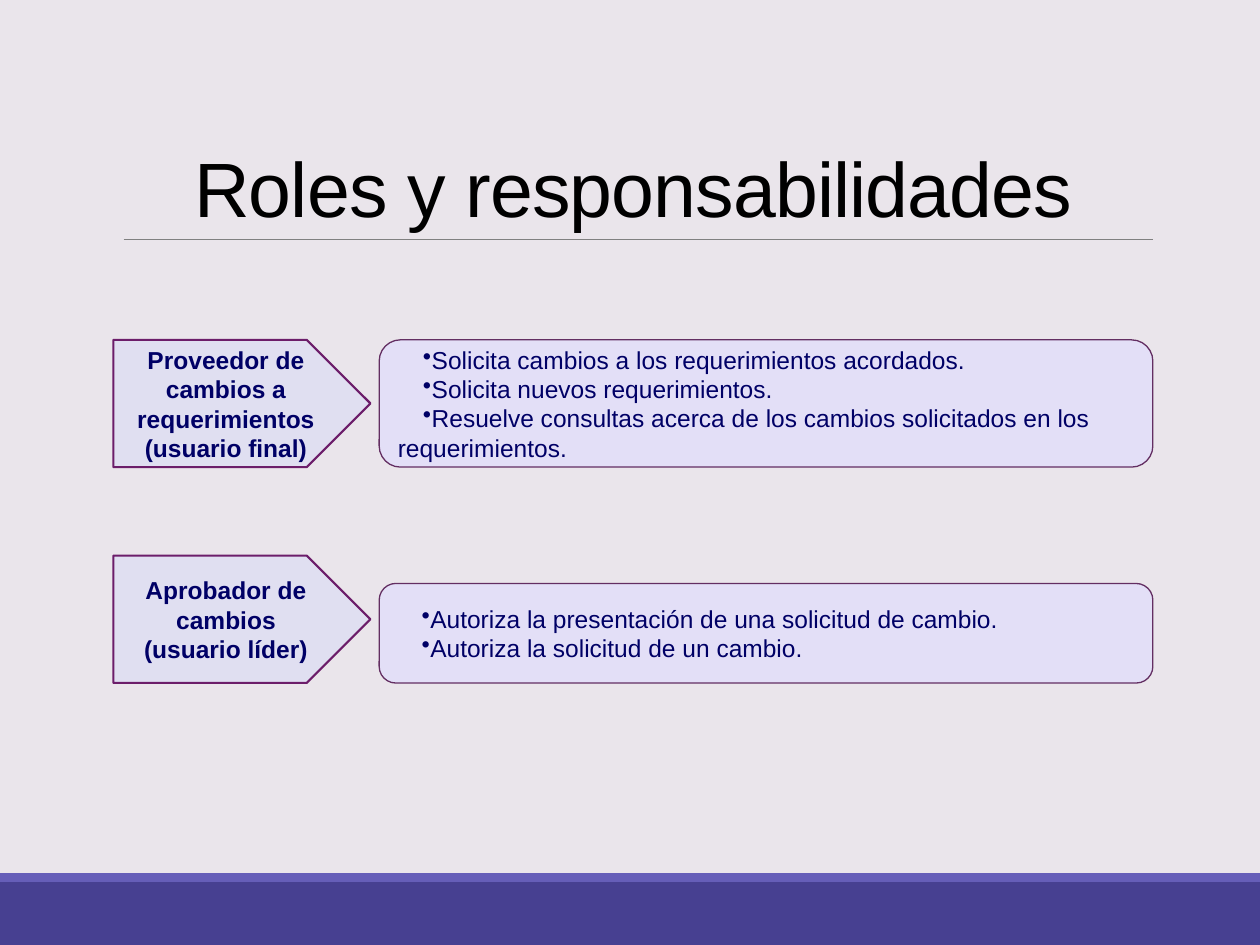
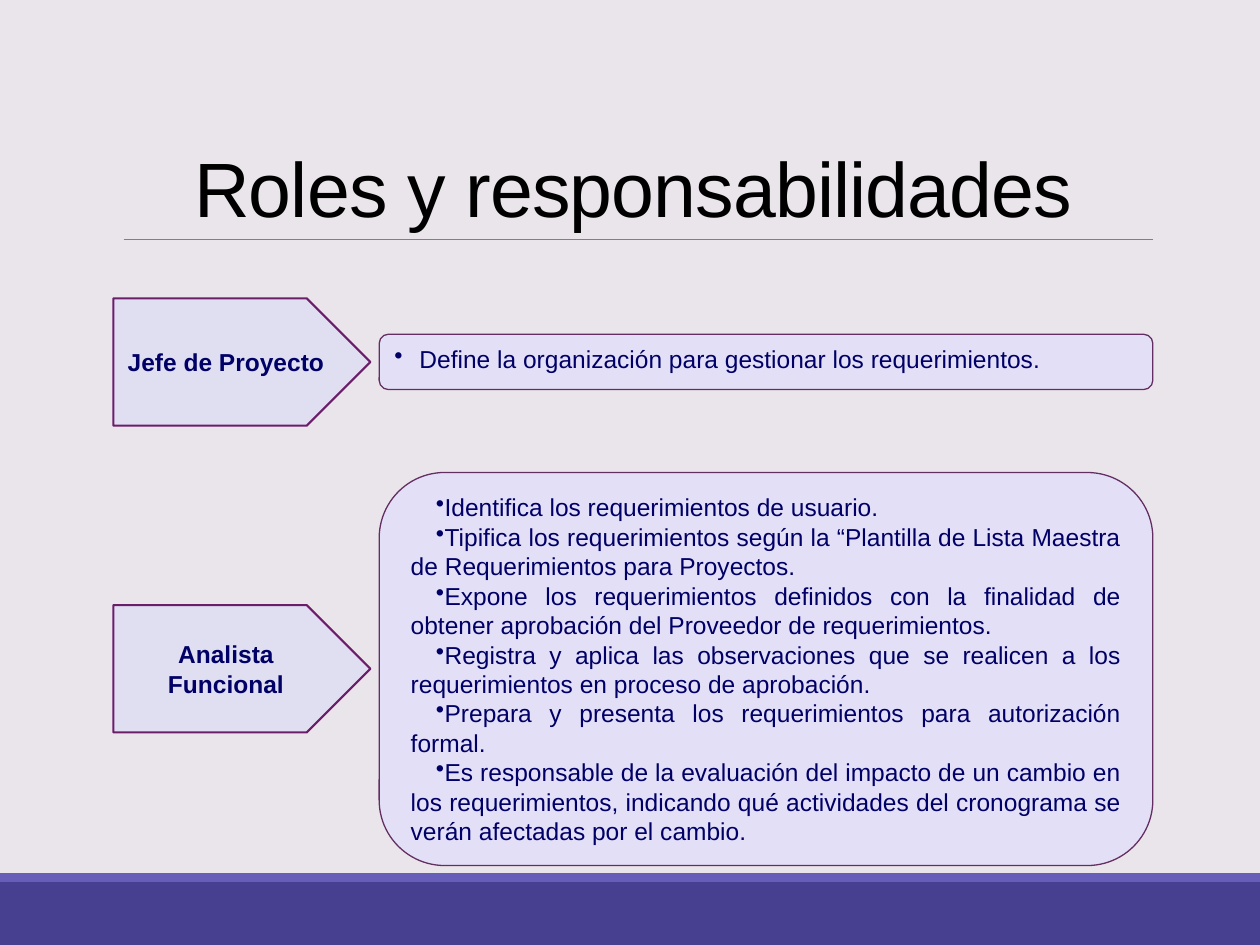
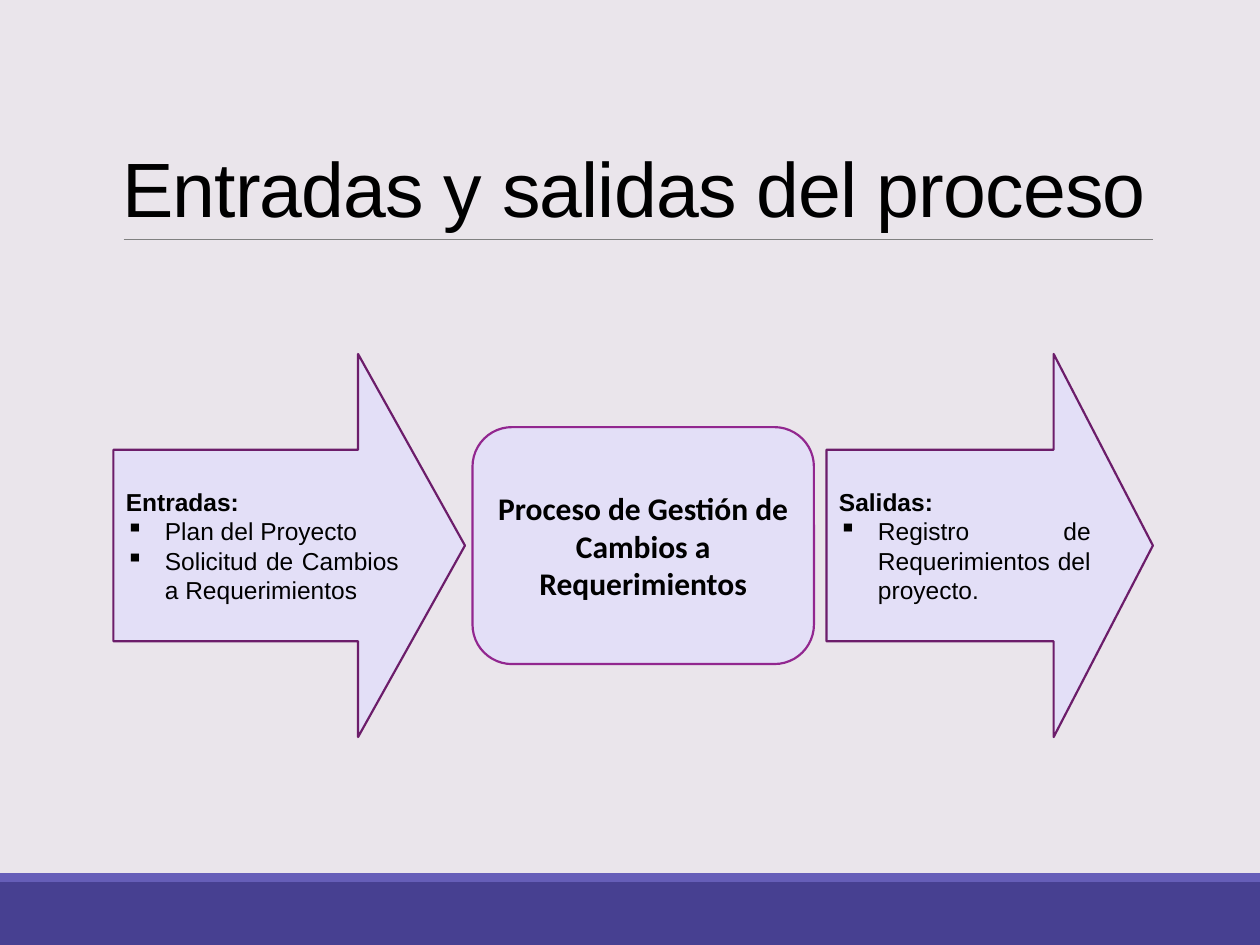
from dataclasses import dataclass

from lxml.etree import SubElement
from pptx import Presentation
from pptx.dml.color import RGBColor
from pptx.enum.shapes import MSO_CONNECTOR, MSO_SHAPE
from pptx.enum.text import MSO_ANCHOR, PP_ALIGN
from pptx.oxml.ns import qn
from pptx.util import Pt


@dataclass(frozen=True)
class Theme:
    background: str = "EAE5EB"
    band: str = "474091"
    band_edge: str = "665EB8"
    rule: str = "808080"
    plate: str = "E0DFF1"
    panel: str = "E3DFF7"
    plate_edge: str = "6C1D6A"
    panel_edge: str = "632E62"
    process_edge: str = "92278F"
    ink: str = "000000"
    navy: str = "000066"
    font: str = "Arial"
    process_font: str = "Calibri"
    title_size: float = 44
    body_size: float = 14
    process_size: float = 18


@dataclass(frozen=True)
class Box:
    left: float
    top: float
    width: float
    height: float

    def lengths(self):
        return [Pt(n) for n in (self.left, self.top, self.width, self.height)]


THEME = Theme()
PAGE = Box(0, 0, 720, 540)
HEADING = Box(64.8, 22.3, 594, 114.5)
FLOW = Box(64.8, 202.3, 594, 218.9)

CENTRED = {"alignment": PP_ALIGN.CENTER}
JUSTIFIED = {"alignment": PP_ALIGN.JUSTIFY}
TIGHT = {"line_spacing": 0.8, "space_before": Pt(3.5), "space_after": Pt(3.5)}
INDENTED_BULLET = ("•", 0, 14.4)
HANGING_BULLET = ("•", 14.4, -14.4)
SQUARE_BULLET = ("▪", 22.3, -22.3)


def apply(target, values):
    for name, value in values.items():
        setattr(target, name, value)


def paint(shape, fill, edge=None, weight=1.25):
    shape.shadow.inherit = False
    shape.fill.solid()
    shape.fill.fore_color.rgb = RGBColor.from_string(fill)
    if edge:
        shape.line.color.rgb = RGBColor.from_string(edge)
        shape.line.width = Pt(weight)
    else:
        shape.line.fill.background()


def add_outline(slide, kind, box, fill, edge=None, weight=1.25, adjustments=()):
    shape = slide.shapes.add_shape(kind, *box.lengths())
    paint(shape, fill, edge, weight)
    for index, value in enumerate(adjustments):
        shape.adjustments[index] = value
    apply(shape.text_frame, {"word_wrap": True, "vertical_anchor": MSO_ANCHOR.MIDDLE})
    return shape


def write(frame, lines, layout, color=THEME.ink, bullet=None, **font):
    for line in lines:
        unused = len(frame.paragraphs) == 1 and not frame.text
        paragraph = frame.paragraphs[0] if unused else frame.add_paragraph()
        apply(paragraph, {"alignment": PP_ALIGN.LEFT, **layout})
        run = paragraph.add_run()
        run.text = line
        apply(run.font, {"name": THEME.font, "size": Pt(THEME.body_size), **font})
        run.font.color.rgb = RGBColor.from_string(color)
        if bullet:
            mark, margin, indent = bullet
            properties = paragraph._p.get_or_add_pPr()
            properties.set("marL", str(Pt(margin)))
            properties.set("indent", str(Pt(indent)))
            SubElement(properties, qn("a:buChar"), char=mark)


def add_footer(slide, page):
    band_height, edge_height = 36, 5
    band_top = page.top + page.height - band_height
    for top, height, color in (
        (band_top, band_height, THEME.band),
        (band_top - edge_height, edge_height, THEME.band_edge),
    ):
        add_outline(slide, MSO_SHAPE.RECTANGLE, Box(page.left, top, page.width, height), color)


def add_heading(slide, box, title, alignment, extra_width=0):
    bottom = box.top + box.height
    rule = slide.shapes.add_connector(
        MSO_CONNECTOR.STRAIGHT,
        Pt(box.left + 5.8), Pt(bottom), Pt(box.left + box.width), Pt(bottom),
    )
    rule.line.color.rgb = RGBColor.from_string(THEME.rule)
    rule.line.width = Pt(0.5)
    SubElement(rule._element.spPr, qn("a:effectLst"))
    title_box = Box(box.left, box.top, box.width + extra_width, box.height)
    frame = slide.shapes.add_textbox(*title_box.lengths()).text_frame
    apply(frame, {
        "word_wrap": True, "vertical_anchor": MSO_ANCHOR.BOTTOM,
        "margin_left": Pt(5), "margin_right": Pt(5),
    })
    write(frame, [title], {"alignment": alignment, "line_spacing": 0.85},
          size=Pt(THEME.title_size))
    frame.paragraphs[0].runs[0].font._element.set("spc", "-50")


def add_role(slide, box, role, duties, plate_top, layout, bullet):
    plate_width, plate_height, panel_offset = 146.9, 72.7, 151.9
    plate = add_outline(
        slide, MSO_SHAPE.PENTAGON,
        Box(box.left, plate_top, plate_width, plate_height),
        THEME.plate, THEME.plate_edge,
    )
    write(plate.text_frame, [role], CENTRED, THEME.navy, bold=True)
    panel = add_outline(
        slide, MSO_SHAPE.ROUNDED_RECTANGLE,
        Box(box.left + panel_offset, box.top, box.width - panel_offset, box.height),
        THEME.panel, THEME.panel_edge, 0.75,
    )
    write(panel.text_frame, duties, layout, THEME.navy, bullet)


def add_flow_arrow(slide, box, label, items):
    arrow = add_outline(slide, MSO_SHAPE.RIGHT_ARROW, box, THEME.panel,
                        THEME.plate_edge, adjustments=(0.5, 0.304))
    write(arrow.text_frame, [label], JUSTIFIED, bold=True)
    write(arrow.text_frame, items, JUSTIFIED, bullet=SQUARE_BULLET, bold=False)


def add_flow(slide, box, inputs, process, outputs):
    input_width, output_width = 200.9, 186.5
    process_offset, process_width, process_height = 205.2, 195.1, 135.4
    add_flow_arrow(slide, Box(box.left, box.top, input_width, box.height), *inputs)
    add_flow_arrow(
        slide,
        Box(box.left + box.width - output_width, box.top, output_width, box.height),
        *outputs,
    )
    centre = add_outline(
        slide, MSO_SHAPE.ROUNDED_RECTANGLE,
        Box(box.left + process_offset, box.top + (box.height - process_height) / 2,
            process_width, process_height),
        THEME.panel, THEME.process_edge,
    )
    write(centre.text_frame, [process], CENTRED, bold=True,
          name=THEME.process_font, size=Pt(THEME.process_size))


def add_page(deck, title, alignment=PP_ALIGN.CENTER, extra_width=0):
    slide = deck.slides.add_slide(deck.slide_layouts[6])
    add_footer(slide, PAGE)
    add_heading(slide, HEADING, title, alignment, extra_width)
    return slide


def add_roles_page(deck, roles):
    slide = add_page(deck, "Roles y responsabilidades")
    for role, duties, plate_top, panel_top, panel_height, layout, bullet in roles:
        box = Box(HEADING.left, panel_top, HEADING.width, panel_height)
        add_role(slide, box, role, duties, plate_top, layout, bullet)


def add_process_page(deck):
    slide = add_page(deck, "Entradas y salidas del proceso", PP_ALIGN.LEFT, 26)
    add_flow(
        slide, FLOW,
        ("Entradas:", ["Plan del Proyecto", "Solicitud de Cambios a Requerimientos"]),
        "Proceso de Gestión de Cambios a Requerimientos",
        ("Salidas:", ["Registro de Requerimientos del proyecto."]),
    )


USER_ROLES = [
    ("Proveedor de cambios a requerimientos (usuario final)", [
        "Solicita cambios a los requerimientos acordados.",
        "Solicita nuevos requerimientos.",
        "Resuelve consultas acerca de los cambios solicitados en los requerimientos.",
    ], 194.2, 194.2, 72.7, {}, INDENTED_BULLET),
    ("Aprobador de cambios (usuario líder)", [
        "Autoriza la presentación de una solicitud de cambio.",
        "Autoriza la solicitud de un cambio.",
    ], 317.5, 333.4, 56.9, {}, INDENTED_BULLET),
]
PROJECT_ROLES = [
    ("Jefe de Proyecto", [
        "Define la organización para gestionar los requerimientos.",
    ], 170.5, 191, 31.6, TIGHT, HANGING_BULLET),
    ("Analista Funcional", [
        "Identifica los requerimientos de usuario.",
        "Tipifica los requerimientos según la “Plantilla de Lista Maestra de "
        "Requerimientos para Proyectos.",
        "Expone los requerimientos definidos con la finalidad de obtener aprobación "
        "del Proveedor de requerimientos.",
        "Registra y aplica las observaciones que se realicen a los requerimientos "
        "en proceso de aprobación.",
        "Prepara y presenta los requerimientos para autorización formal.",
        "Es responsable de la evaluación del impacto de un cambio en los "
        "requerimientos, indicando qué actividades del cronograma se verán "
        "afectadas por el cambio.",
    ], 345.8, 270, 224.6, JUSTIFIED, INDENTED_BULLET),
]

deck = Presentation()
apply(deck, {"slide_width": Pt(PAGE.width), "slide_height": Pt(PAGE.height)})
backdrop = deck.slide_master.background.fill
backdrop.solid()
backdrop.fore_color.rgb = RGBColor.from_string(THEME.background)
for roles in (USER_ROLES, PROJECT_ROLES):
    add_roles_page(deck, roles)
add_process_page(deck)
deck.save("out.pptx")
